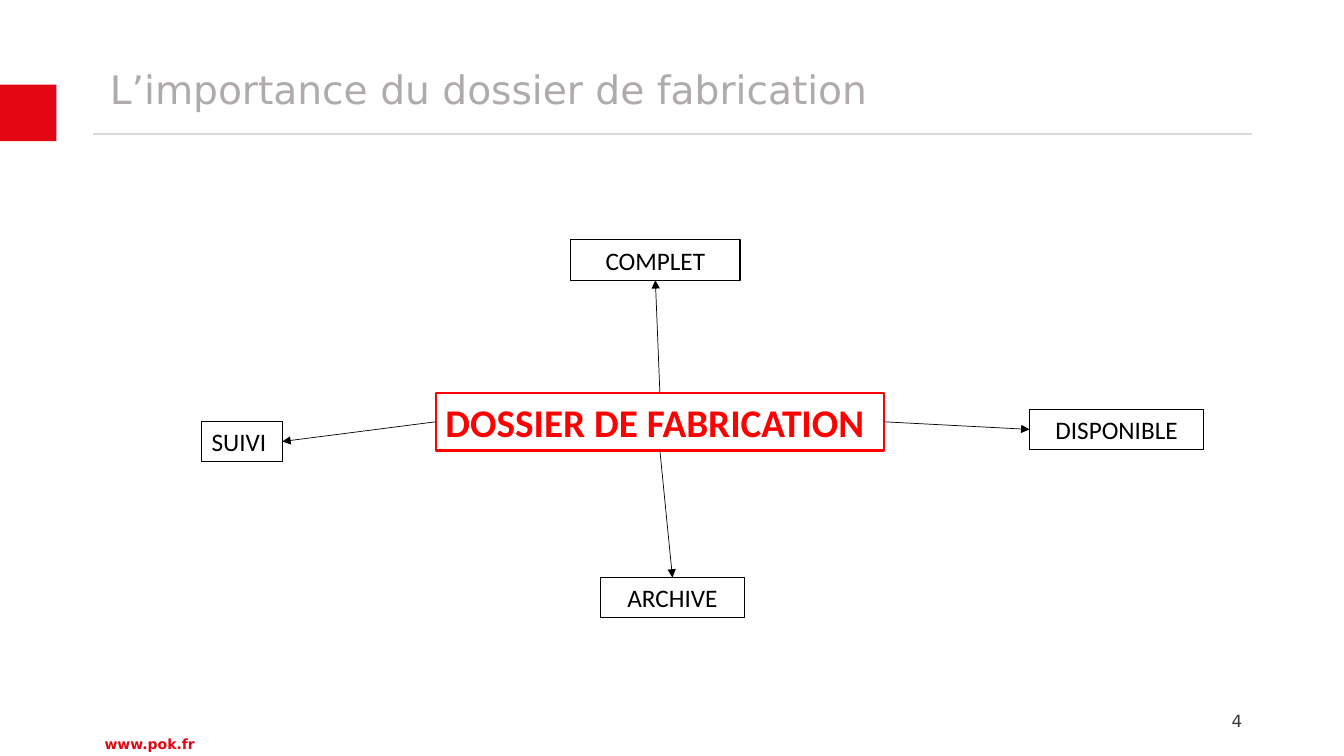
"""Build the slide on the importance of the manufacturing file."""
from dataclasses import dataclass

from lxml.etree import SubElement
from pptx import Presentation
from pptx.dml.color import RGBColor
from pptx.enum.shapes import MSO_CONNECTOR as Connector, MSO_SHAPE as Preset
from pptx.enum.text import MSO_ANCHOR as Anchor, MSO_AUTO_SIZE as AutoSize, PP_ALIGN as Align
from pptx.oxml.ns import qn
from pptx.util import Pt

EMU_PER_PX = 9144
TOP, LEFT, BOTTOM, RIGHT = range(4)


@dataclass(frozen=True)
class Theme:
    """Colours, fonts and type sizes of the slide."""
    brand: str = "E30613"
    rule: str = "D9D9D9"
    title: str = "AFABAB"
    number: str = "3B3838"
    ink: str = "000000"
    accent: str = "FF0000"
    frame_font: str = "DejaVu Sans"
    diagram_font: str = "Calibri"
    large: int = 28
    label: int = 18
    small: int = 12
    tiny: int = 10


THEME = Theme()


def px(*lengths):
    """Turn pixel lengths into EMU."""
    return [length * EMU_PER_PX for length in lengths]


def write(shape, text, *, size, color, font=THEME.frame_font, bold=False,
          align=Align.LEFT, anchor=Anchor.TOP, spacing=1.0):
    """Put one formatted paragraph into a shape."""
    frame = shape.text_frame
    frame.word_wrap = True
    frame.auto_size = AutoSize.NONE
    frame.vertical_anchor = anchor
    para = frame.paragraphs[0]
    para.alignment = align
    para.line_spacing = spacing
    span = para.add_run()
    span.text = text
    span.font.name = font
    span.font.size = Pt(size)
    span.font.bold = bold
    span.font.color.rgb = RGBColor.from_string(color)


def add_line(page, ends, *, color, width):
    """Draw a straight line without shadow."""
    line = page.shapes.add_connector(Connector.STRAIGHT, *px(*ends))
    line.line.color.rgb = RGBColor.from_string(color)
    line.line.width = Pt(width)
    SubElement(line._element.spPr, qn("a:effectLst"))
    return line


def add_arrow(page, source, source_side, target, target_side):
    """Join the sides of two boxes with an arrow."""
    arrow = add_line(page, (0, 0, 0, 0), color=THEME.ink, width=0.5)
    arrow.begin_connect(source, source_side)
    arrow.end_connect(target, target_side)
    SubElement(arrow.line._get_or_add_ln(), qn("a:tailEnd"), type="triangle")


def add_box(page, box, text, *, color, line_width, **text_format):
    """Draw an outlined, unfilled box with a label."""
    shape = page.shapes.add_shape(Preset.RECTANGLE, *px(*box))
    shape.shadow.inherit = False
    shape.fill.background()
    shape.line.color.rgb = RGBColor.from_string(color)
    shape.line.width = Pt(line_width)
    write(shape, text, color=color, font=THEME.diagram_font, **text_format)
    return shape


def add_header(page, box, title):
    """Place the brand square, the title and the rule under it."""
    left, top, width, height = box
    square = page.shapes.add_shape(Preset.RECTANGLE, *px(left, top + 33, 56, 56))
    square.shadow.inherit = False
    square.fill.solid()
    square.fill.fore_color.rgb = RGBColor.from_string(THEME.brand)
    square.line.fill.background()
    rule_y = top + height
    add_line(page, (left + 92, rule_y, left + 1242, rule_y), color=THEME.rule, width=1.5)
    heading = page.shapes.title
    heading.left, heading.top, heading.width, heading.height = px(
        left + 99, top, width - 99, height - 1)
    write(heading, title, size=THEME.large, color=THEME.title,
          anchor=Anchor.MIDDLE, spacing=0.9)


def add_footer(page, box, address, number):
    """Place the web address and the page number."""
    left, top, width, height = box
    site = page.shapes.add_textbox(*px(left, top + 30, 127, 27))
    write(site, address, size=THEME.tiny, color=THEME.brand, bold=True, align=Align.CENTER)
    counter = page.shapes.add_textbox(*px(left + width - 300, top, 300, height))
    write(counter, number, size=THEME.small, color=THEME.number,
          align=Align.RIGHT, anchor=Anchor.MIDDLE)


def add_diagram(page, box, center, qualities):
    """Place the central box and an arrow to each quality around it."""
    left, top = box[:2]
    hub = add_box(page, (left + 232, top + 152, 445, 57), center, color=THEME.accent,
                  line_width=1.5, size=THEME.large, bold=True)
    for text, x, y, width, align, hub_side, side in qualities:
        label = add_box(page, (left + x, top + y, width, 40), text, color=THEME.ink,
                        line_width=0.75, size=THEME.label, align=align)
        add_arrow(page, hub, hub_side, label, side)


def main():
    """Build and save the deck."""
    deck = Presentation()
    deck.slide_width, deck.slide_height = px(1333, 750)
    page = deck.slides.add_slide(deck.slide_layouts[5])
    add_header(page, (0, 51, 1333, 82), "L’importance du dossier de fabrication")
    add_diagram(page, (200, 238, 994, 375), "DOSSIER DE FABRICATION", (
        ("SUIVI", 0, 180, 80, Align.LEFT, LEFT, RIGHT),
        ("COMPLET", 366, 0, 168, Align.CENTER, TOP, BOTTOM),
        ("DISPONIBLE", 821, 168, 173, Align.CENTER, RIGHT, LEFT),
        ("ARCHIVE", 396, 335, 142, Align.CENTER, BOTTOM, TOP),
    ))
    add_footer(page, (85, 695, 1157, 40), "www.pok.fr", "4")
    deck.save("out.pptx")


if __name__ == "__main__":
    main()
